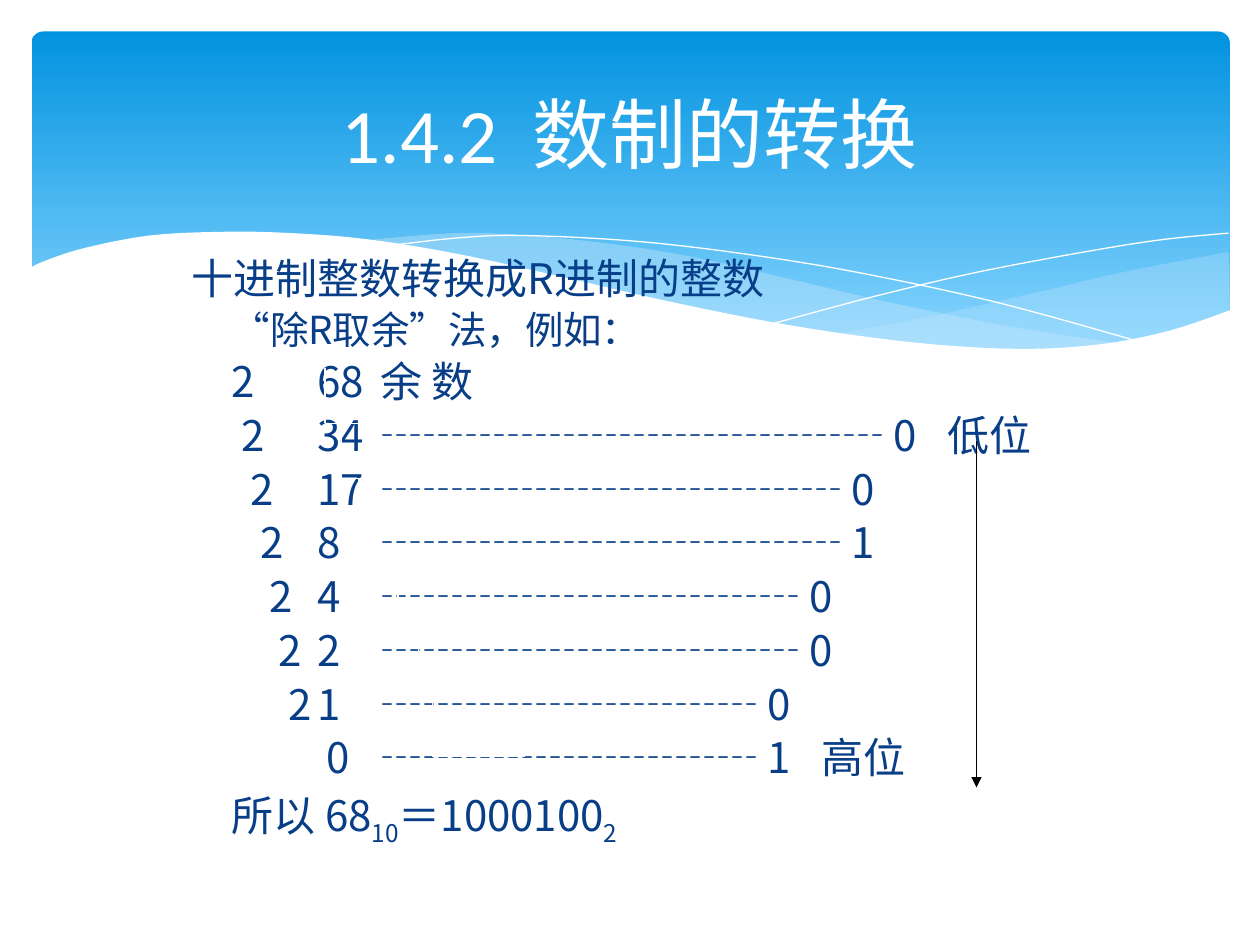
from dataclasses import dataclass

from lxml import etree
from pptx import Presentation
from pptx.dml.color import RGBColor
from pptx.enum.lang import MSO_LANGUAGE_ID
from pptx.enum.shapes import MSO_CONNECTOR, MSO_SHAPE
from pptx.enum.text import MSO_ANCHOR, MSO_AUTO_SIZE, PP_ALIGN
from pptx.oxml.ns import qn
from pptx.util import Pt

STRAIGHT = MSO_CONNECTOR.STRAIGHT
ROUNDED = MSO_SHAPE.ROUNDED_RECTANGLE
CHINESE = MSO_LANGUAGE_ID.SIMPLIFIED_CHINESE

WHITE = RGBColor(0xFF, 0xFF, 0xFF)
BLACK = RGBColor(0x00, 0x00, 0x00)
NAVY = RGBColor(0x07, 0x3E, 0x87)
BLUE = RGBColor(0x02, 0x93, 0xE0)
SKY = RGBColor(0x83, 0xD3, 0xFE)
PALE = RGBColor(0xC6, 0xE7, 0xFC)

LATIN, CJK = "Calibri", "Noto Sans CJK SC"
LIST_LEFT = 23       # first-line indent of the second level
ROW_STEP = 5.4       # each division moves this far to the right
NUMBER_GAP = 29.9    # from divisor to dividend
DASH = "┄"

Curve = list[tuple[float, float]]


@dataclass
class Wave:
    edges: list[Curve]
    opacity: int | None = None    # None draws an open white hairline


@dataclass
class Line:
    text: str
    indent: float = LIST_LEFT
    tabs: tuple[float, ...] = ()
    size: float = 24
    height: float = 30.74
    level: int = 1


@dataclass
class Division:
    dividend: str
    dashes: int
    remainder: str
    dash_left: float


WAVES = [
    Wave([[(702, 144), (641.5, 155.5), (599, 165.6), (525, 182.2), (476, 190.8)],
          [(476, 190.8), (517.7, 195.8), (553.7, 199.4), (586, 200.2), (621.4, 198),
           (651.6, 193.7), (678.2, 186.5), (702.7, 177.8)]], 29),
    Wave([[(643, 196.6), (581, 187.2), (508.3, 172.8), (452.9, 159.8), (399.6, 147.6),
           (352, 139.7), (302.4, 134.6), (260, 133.2), (206, 137.5)],
          [(206, 137.5), (260.6, 146.2), (323.3, 159.8), (407.5, 178.6), (468, 190),
           (520, 197.3), (565, 200.2), (603.4, 200.2), (643, 196.6)]], 40),
    Wave([[(222.5, 140.4), (261.4, 136), (299.5, 134.6), (367, 138.2), (437.8, 146.9),
           (500.4, 157.7), (572.4, 173.5), (653, 195.8)]]),
    Wave([[(441.4, 185), (500.4, 169.2), (558.7, 155.5), (623.5, 143.3),
           (665.3, 136.8), (702, 133.2)]]),
    Wave([[(703.4, 177.1), (669.6, 188.6), (630, 196.6), (582.5, 199.4), (522.7, 195.8),
           (450.7, 185.8), (380.9, 172), (321.8, 158.4), (262.8, 145.4), (210.2, 136.8),
           (165.6, 133.2), (127.4, 132.5), (85.7, 134.6), (48.2, 141.8), (26, 149),
           (16.6, 153.4)],
          [(16.6, 236.9), (703.4, 236.9)]], 100),
]

DIVISIONS = [
    Division("34", 12, "0", 90.6),
    Division("17", 11, "0", 96.3),
    Division("8", 11, "1", 88.3),
    Division("4", 10, "0", 99.2),
    Division("2", 10, "0", 99.2),
    Division("1", 9, "0", 110),
]

BRACKET_LEFTS = [185.8, 195.1, 205.2, 217.4, 227.5, 239, 247]
BRACKET_TOP, BRACKET_HEIGHT, BRACKET_WIDTH = 210.2, 31.7, 53.3


def smooth(points: Curve, steps: int = 6) -> Curve:
    """Catmull-Rom curve through the points."""
    padded = [points[0], *points, points[-1]]
    curve = [points[0]]
    for a, b, c, d in zip(padded, padded[1:], padded[2:], padded[3:]):
        for step in range(1, steps + 1):
            t = step / steps
            curve.append(tuple(
                0.5 * (2 * q + (r - p) * t + (2 * p - 5 * q + 4 * r - s) * t**2
                       + (3 * q - p - 3 * r + s) * t**3)
                for p, q, r, s in zip(a, b, c, d)))
    return curve


def draw_wave(page, wave: Wave) -> None:
    points = [(Pt(x), Pt(y)) for edge in wave.edges for x, y in smooth(edge)]
    builder = page.shapes.build_freeform(*points[0])
    builder.add_line_segments(points[1:], close=wave.opacity is not None)
    shape = builder.convert_to_shape()
    shape.shadow.inherit = False
    if wave.opacity is None:
        shape.fill.background()
        shape.line.color.rgb = WHITE
        shape.line.width = Pt(0)
        return
    shape.line.fill.background()
    shape.fill.solid()
    shape.fill.fore_color.rgb = WHITE if wave.opacity == 100 else PALE
    if wave.opacity < 100:
        color = shape._element.spPr.find(".//" + qn("a:srgbClr"))
        etree.SubElement(color, qn("a:alpha"), val=str(wave.opacity * 1000))


def draw_line(page, start: tuple, end: tuple, color: RGBColor, width: float):
    line = page.shapes.add_connector(STRAIGHT, *(Pt(v) for v in (*start, *end)))
    line.line.color.rgb = color
    line.line.width = Pt(width)
    etree.SubElement(line._element.spPr, qn("a:effectLst"))
    return line


def place(box, left: float, top: float, width: float, height: float) -> None:
    box.left, box.top, box.width, box.height = map(Pt, (left, top, width, height))
    box.text_frame.word_wrap = True
    box.text_frame.auto_size = MSO_AUTO_SIZE.NONE


def style_span(span, size: float, latin: str, color: RGBColor) -> None:
    span.font.size = Pt(size)
    span.font.name = latin
    span.font.color.rgb = color
    span.font.language_id = CHINESE
    etree.SubElement(span._r.get_or_add_rPr(), qn("a:ea"), typeface=CJK)


def format_line(para, line: Line) -> None:
    para.level = line.level
    para.line_spacing = Pt(line.height)
    para.space_before = para.space_after = Pt(0)
    properties = para._p.get_or_add_pPr()
    properties.set("marL", "0")
    properties.set("indent", str(Pt(line.indent)))
    etree.SubElement(properties, qn("a:buNone"))
    if line.tabs:
        stops = etree.SubElement(properties, qn("a:tabLst"))
        for tab in line.tabs:
            etree.SubElement(stops, qn("a:tab"), pos=str(Pt(tab)), algn="l")
    for span in para.runs:
        style_span(span, line.size, CJK, NAVY)


def list_lines() -> list[Line]:
    lines = [
        Line("十进制整数转换成R进制的整数", indent=0, height=27.8, level=0),
        Line("“除R取余”法，例如：", size=22, height=28),
        Line("2\t68\t余 数", tabs=(LIST_LEFT + NUMBER_GAP, 213.6)),
    ]
    for number, row in enumerate(DIVISIONS, 1):
        left = LIST_LEFT + number * ROW_STEP
        text = f"2\t{row.dividend}\t{DASH * row.dashes} {row.remainder}"
        tabs = (left + NUMBER_GAP, row.dash_left)
        if number == 1:
            text, tabs = text + "\t低位", (*tabs, 414)
        lines.append(Line(text, left, tabs))
    lines.append(Line(f"0\t{DASH * 9} 1\t高位", 77, (102, 358)))
    return lines


def main() -> None:
    deck = Presentation()
    deck.slide_width, deck.slide_height = Pt(720), Pt(540)
    page = deck.slides.add_slide(deck.slide_layouts[1])
    title, body = page.shapes.title, page.placeholders[1]

    # Header band and waves
    band = page.shapes.add_shape(ROUNDED, Pt(18), Pt(18), Pt(684.7), Pt(194.4))
    band.adjustments[0] = 0.034
    band.shadow.inherit = False
    band.line.fill.background()
    band.fill.gradient()
    band.fill.gradient_angle = 270
    for stop, color, position in zip(band.fill.gradient_stops, (BLUE, SKY), (0, 0.9)):
        stop.color.rgb = color
        stop.position = position
    for wave in WAVES:
        draw_wave(page, wave)

    # Placeholders come in front of the header
    for box in (title, body):
        page.shapes._spTree.append(box._element)

    # Title
    place(title, 36, 26.6, 648, 98.6)
    title.text_frame.text = "1.4.2  数制的转换"
    title.text_frame.vertical_anchor = MSO_ANCHOR.MIDDLE
    heading = title.text_frame.paragraphs[0]
    heading.alignment = PP_ALIGN.CENTER
    style_span(heading.runs[0], 44, LATIN, WHITE)

    # Division steps
    place(body, 102.2, 141.8, 540, 372.2)
    frame = body.text_frame
    lines = list_lines()
    frame.text = "\n".join(line.text for line in lines)
    for para, line in zip(frame.paragraphs, lines):
        format_line(para, line)

    # Result with subscripts
    result = frame.add_paragraph()
    for text in ("所以 68", "10", "＝1000100", "2"):
        result.add_run().text = text
    format_line(result, Line("", height=37))
    for span in result.runs[1::2]:
        span._r.get_or_add_rPr().set("baseline", "-25000")

    # Division brackets
    for number, left in enumerate(BRACKET_LEFTS):
        top = BRACKET_TOP + number * BRACKET_HEIGHT
        corner = (left, top + BRACKET_HEIGHT)
        draw_line(page, (left, top), corner, WHITE, 0.75)
        draw_line(page, corner, (left + BRACKET_WIDTH, corner[1]), WHITE, 0.75)

    # Reading direction, low digit to high digit
    arrow = draw_line(page, (558, 252), (558, 450), BLACK, 1)
    etree.SubElement(arrow.line._get_or_add_ln(), qn("a:tailEnd"), type="triangle")

    deck.save("out.pptx")


if __name__ == "__main__":
    main()
